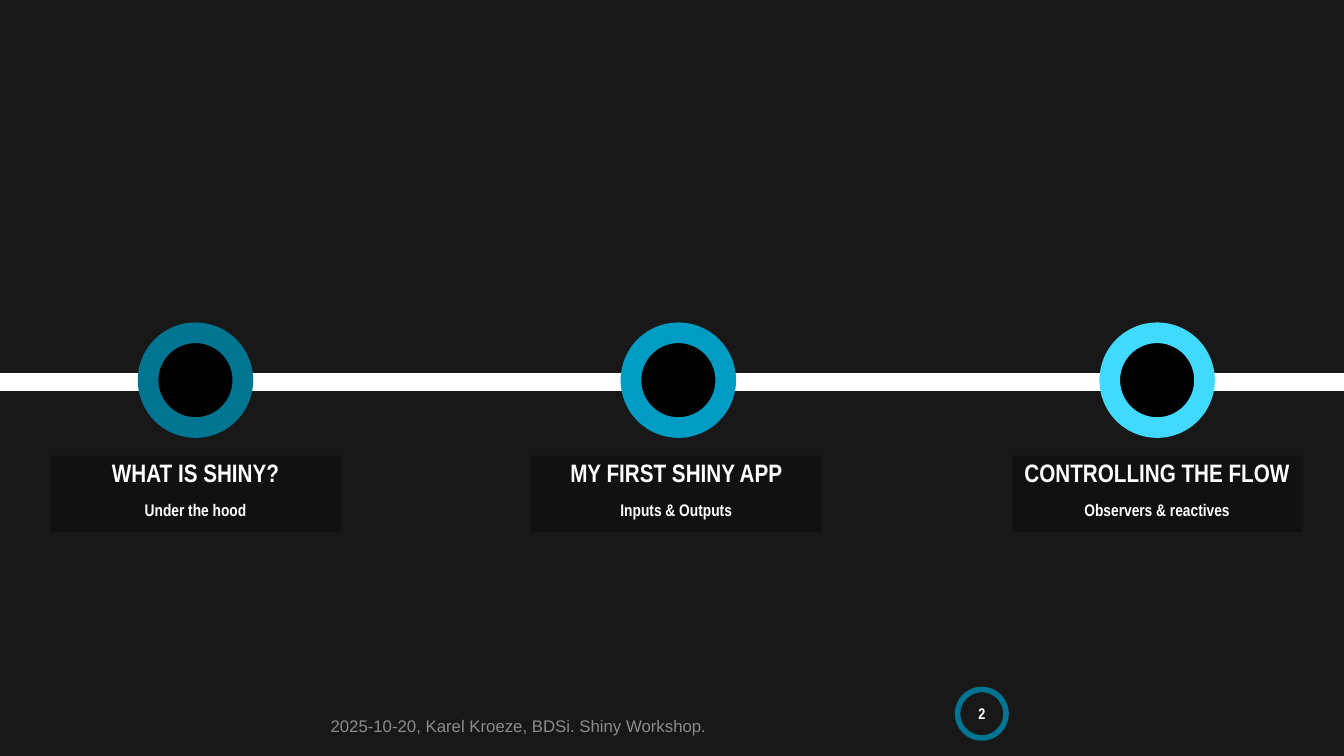
from pptx import Presentation
from pptx.dml.color import RGBColor
from pptx.enum.shapes import MSO_SHAPE as Shape
from pptx.enum.text import MSO_ANCHOR as Anchor, MSO_AUTO_SIZE as AutoSize, PP_ALIGN as Align
from pptx.oxml.xmlchemy import OxmlElement
from pptx.util import Pt

# Content: heading, subheading, ring colour, ring left edge
STEPS = [
    ("WHAT IS SHINY?", "Under the hood", "007592", 105.8),
    ("MY FIRST SHINY APP", "Inputs & Outputs", "009CC3", 450.7),
    ("CONTROLLING THE FLOW", "Observers & reactives", "42D9FF", 792.7),
]
FOOTER = "2025-10-20, Karel Kroeze, BDSi. Shiny Workshop."
PAGE_NUMBER = "2"


class Theme:
    background = "181818"
    light = "FFFFFF"
    dark = "000000"
    badge = "007592"
    muted = "8C8C8C"
    label_opacity = 25
    label_font = "Arial Narrow"
    footer_font = "Arial"
    heading_size = 18
    small_size = 12
    badge_size = 11


# Layout in points
SLIDE_WIDTH, SLIDE_HEIGHT = 960, 540
LABEL_LEFT, LABEL_TOP, LABEL_WIDTH, LABEL_HEIGHT = 36, 325.6, 207.4, 54.4
LABEL_PITCH = 343.4
RING_TOP, RING_SIZE, RING_LINE = 237.7, 67.7, 14.75


def color(value):
    return RGBColor.from_string(value)


def add_shape(kind, left, top, width, height, fill=None, line=None, line_width=0):
    shape = page.shapes.add_shape(kind, Pt(left), Pt(top), Pt(width), Pt(height))
    shape.shadow.inherit = False
    if fill:
        shape.fill.solid()
        shape.fill.fore_color.rgb = color(fill)
    else:
        shape.fill.background()
    if line:
        shape.line.color.rgb = color(line)
        shape.line.width = Pt(line_width)
    else:
        shape.line.fill.background()
    return shape


def style(para, font, size, text_color, bold, align):
    para.alignment = align
    para.font.name = font
    para.font.size = Pt(size)
    para.font.bold = bold
    para.font.color.rgb = color(text_color)


def fill_label(box, left, heading, subheading):
    box.left, box.top = Pt(left), Pt(LABEL_TOP)
    box.width, box.height = Pt(LABEL_WIDTH), Pt(LABEL_HEIGHT)
    box.fill.solid()
    box.fill.fore_color.rgb = color(Theme.dark)
    alpha = OxmlElement("a:alpha")
    alpha.set("val", str(Theme.label_opacity * 1000))
    box.fill._xPr.find(".//{*}srgbClr").append(alpha)

    frame = box.text_frame
    frame.text = f"{heading}\n{subheading}"
    frame.auto_size = AutoSize.NONE
    frame.vertical_anchor = Anchor.TOP
    for para, size in zip(frame.paragraphs, (Theme.heading_size, Theme.small_size)):
        style(para, Theme.label_font, size, Theme.light, True, Align.CENTER)
        para.line_spacing = 0.9
        para.space_before = Pt(10)
        properties = para._p.get_or_add_pPr()
        properties.set("marL", "0")
        properties.set("indent", "0")
        properties.insert_element_before(OxmlElement("a:buNone"), "a:tabLst", "a:defRPr", "a:extLst")


# Slide: the comparison layout supplies the body placeholders
deck = Presentation()
deck.slide_width, deck.slide_height = Pt(SLIDE_WIDTH), Pt(SLIDE_HEIGHT)
page = deck.slides.add_slide(deck.slide_layouts.get_by_name("Comparison"))
page.background.fill.solid()
page.background.fill.fore_color.rgb = color(Theme.background)
title, *bodies = page.placeholders
for unused in (title, *bodies[len(STEPS):]):
    unused.element.getparent().remove(unused.element)

# Timeline bar
add_shape(Shape.FLOWCHART_PROCESS, 0, 266.5, SLIDE_WIDTH, 12.5, fill=Theme.light)

# Steps: ring and label
for index, (heading, subheading, ring_color, ring_left) in enumerate(STEPS):
    add_shape(Shape.OVAL, ring_left, RING_TOP, RING_SIZE, RING_SIZE,
              Theme.dark, ring_color, RING_LINE)
    fill_label(bodies[index], LABEL_LEFT + index * LABEL_PITCH, heading, subheading)

# Page number badge
badge = add_shape(Shape.OVAL, 684, 492.5, 34.6, 34.6, line=Theme.badge, line_width=4)
frame = badge.text_frame
frame.margin_left = frame.margin_right = frame.margin_top = frame.margin_bottom = 0
frame.vertical_anchor = Anchor.MIDDLE
frame.text = PAGE_NUMBER
style(frame.paragraphs[0], Theme.label_font, Theme.badge_size, Theme.light, True, Align.CENTER)

# Footer
footer = page.shapes.add_textbox(Pt(229), Pt(500.4), Pt(430), Pt(28.8)).text_frame
footer.word_wrap = True
footer.vertical_anchor = Anchor.BOTTOM
footer.text = FOOTER
style(footer.paragraphs[0], Theme.footer_font, Theme.small_size, Theme.muted, False, Align.LEFT)

deck.save("out.pptx")
